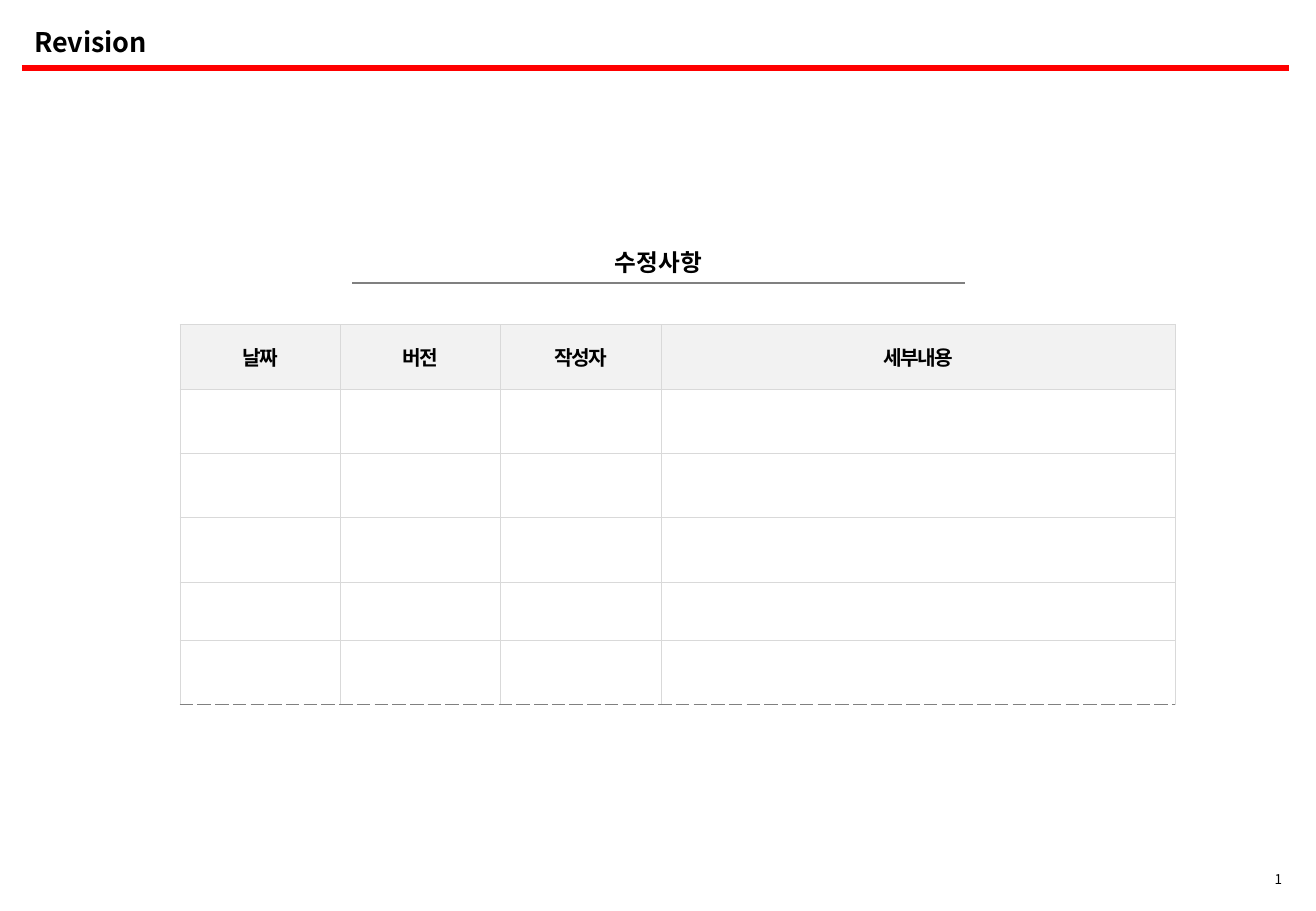
"""Build the revision history slide."""
import pptx
import pptx.util
import pptx.dml.color
import pptx.enum.shapes
import pptx.enum.text
import pptx.oxml
import pptx.oxml.ns
import lxml.etree

Inches = pptx.util.Inches
Align = pptx.enum.text.PP_ALIGN
Anchor = pptx.enum.text.MSO_ANCHOR
qn = pptx.oxml.ns.qn

theme = {
    "font": "Noto Sans CJK KR",
    "ink": "000000", "red": "FF0000", "gray": "808080",
    "grid": "D9D9D9", "head": "F2F2F2",
    "title": 16, "sub": 14, "cell": 12, "page": 8,
}


def write(frame, text, size, bold, align, anchor):
    frame.text = text
    frame.word_wrap = True
    frame.vertical_anchor = anchor
    para = frame.paragraphs[0]
    para.alignment = align
    font = para.runs[0].font
    font.size = pptx.util.Pt(theme[size])
    font.bold = bold
    font.color.rgb = pptx.dml.color.RGBColor.from_string(theme["ink"])
    font.name = theme["font"]
    props = para.runs[0]._r.get_or_add_rPr()
    lxml.etree.SubElement(props, qn("a:ea"), typeface=theme["font"])
    return props


def rule(left, right, top, color, width):
    line = slide.shapes.add_connector(
        pptx.enum.shapes.MSO_CONNECTOR.STRAIGHT,
        Inches(left), Inches(top), Inches(right), Inches(top))
    line.line.color.rgb = pptx.dml.color.RGBColor.from_string(theme[color])
    line.line.width = pptx.util.Pt(width)
    lxml.etree.SubElement(line._element.spPr, qn("a:effectLst"))


deck = pptx.Presentation()
deck.slide_width, deck.slide_height = Inches(10.83), Inches(7.5)
slide = deck.slides.add_slide(deck.slide_layouts[5])

rule(0.18, 10.61, 0.56, "red", 3)
title = slide.shapes.title
title.left, title.top = Inches(0.18), Inches(0.16)
title.width, title.height = Inches(10.11), Inches(0.37)
write(title.text_frame, "Revision", "title", True, Align.LEFT, Anchor.MIDDLE)

page = slide.shapes.add_textbox(Inches(10.26), Inches(7.11), Inches(0.39), Inches(0.24))
write(page.text_frame, "1", "page", False, Align.RIGHT, Anchor.BOTTOM)

heads = ["날짜", "버전", "작성자", "세부내용"]
widths = [1.32, 1.32, 1.32, 4.23]
heights = [0.53, 0.53, 0.53, 0.53, 0.48, 0.53]
last = len(heights) - 1
table = slide.shapes.add_table(
    len(heights), len(widths), Inches(1.48), Inches(2.67),
    Inches(sum(widths)), Inches(sum(heights))).table
table.horz_banding = False
for col, width in zip(table.columns, widths):
    col.width = Inches(width)
for row, height in zip(table.rows, heights):
    row.height = Inches(height)

for r in range(len(heights)):
    for c, head in enumerate(heads):
        cell = table.cell(r, c)
        cell.margin_left = cell.margin_right = Inches(0.04)
        cell.margin_top = cell.margin_bottom = Inches(0.04)
        props = cell._tc.get_or_add_tcPr()
        for side in ("L", "R", "T", "B"):
            dash = r == last and side == "B"
            edge = lxml.etree.SubElement(
                props, qn("a:ln" + side), w=str(pptx.util.Pt(0.5 if dash else 0.25)))
            fill = lxml.etree.SubElement(edge, qn("a:solidFill"))
            lxml.etree.SubElement(
                fill, qn("a:srgbClr"), val=theme["gray" if dash else "grid"])
            lxml.etree.SubElement(
                edge, qn("a:prstDash"), val="dash" if dash else "solid")
        if r == 0:
            cell.fill.solid()
            cell.fill.fore_color.rgb = pptx.dml.color.RGBColor.from_string(theme["head"])
            run = write(cell.text_frame, head, "cell", True, Align.CENTER, Anchor.MIDDLE)
            run.set("spc", "-100")
            cell.vertical_anchor = Anchor.MIDDLE
        else:
            cell.fill.background()

rule(2.9, 7.94, 2.33, "gray", 1)
sub = slide.shapes.add_textbox(Inches(2.9), Inches(2), Inches(5.04), Inches(0.32))
write(sub.text_frame, "수정사항", "sub", True, Align.CENTER, Anchor.MIDDLE)

deck.save("out.pptx")
